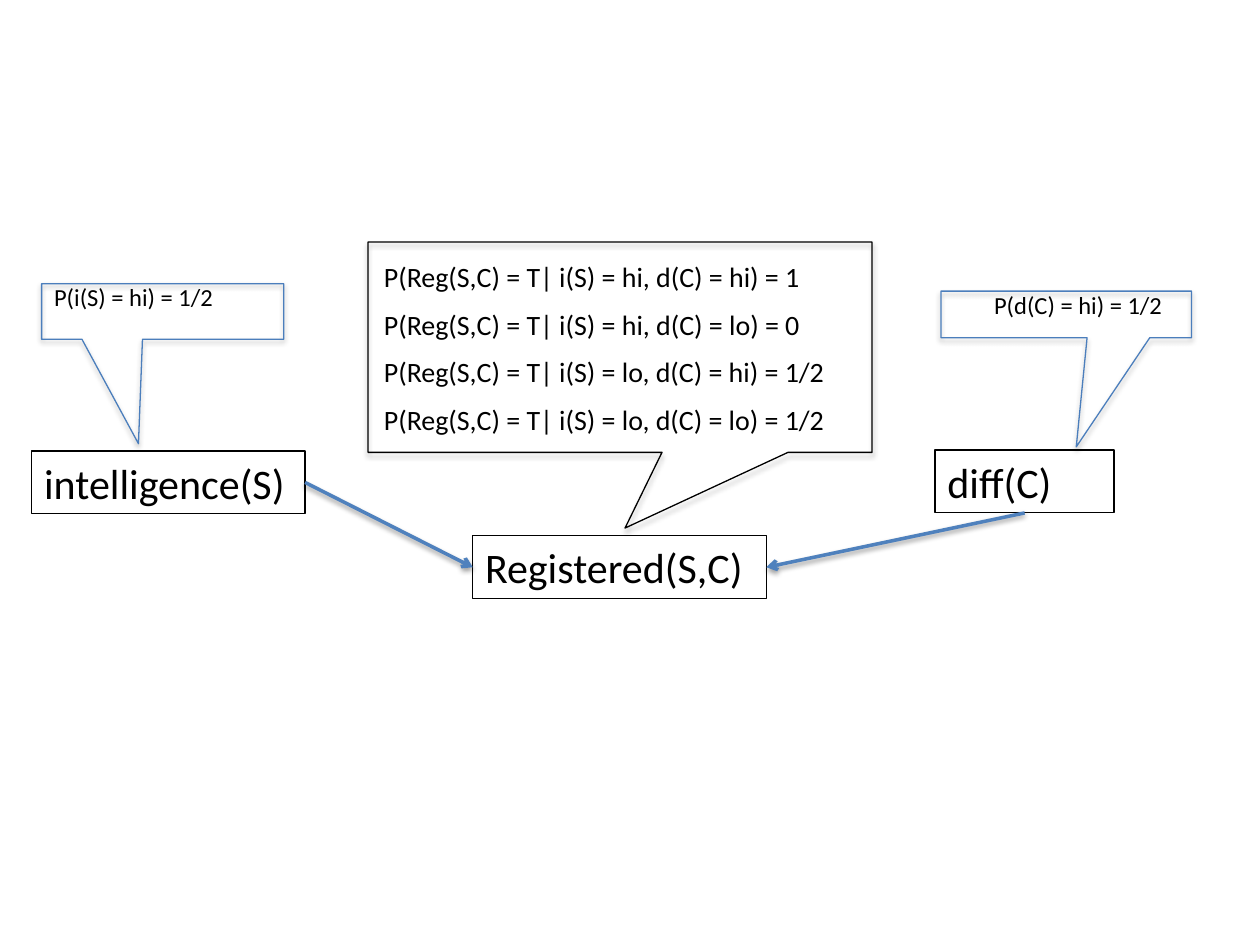
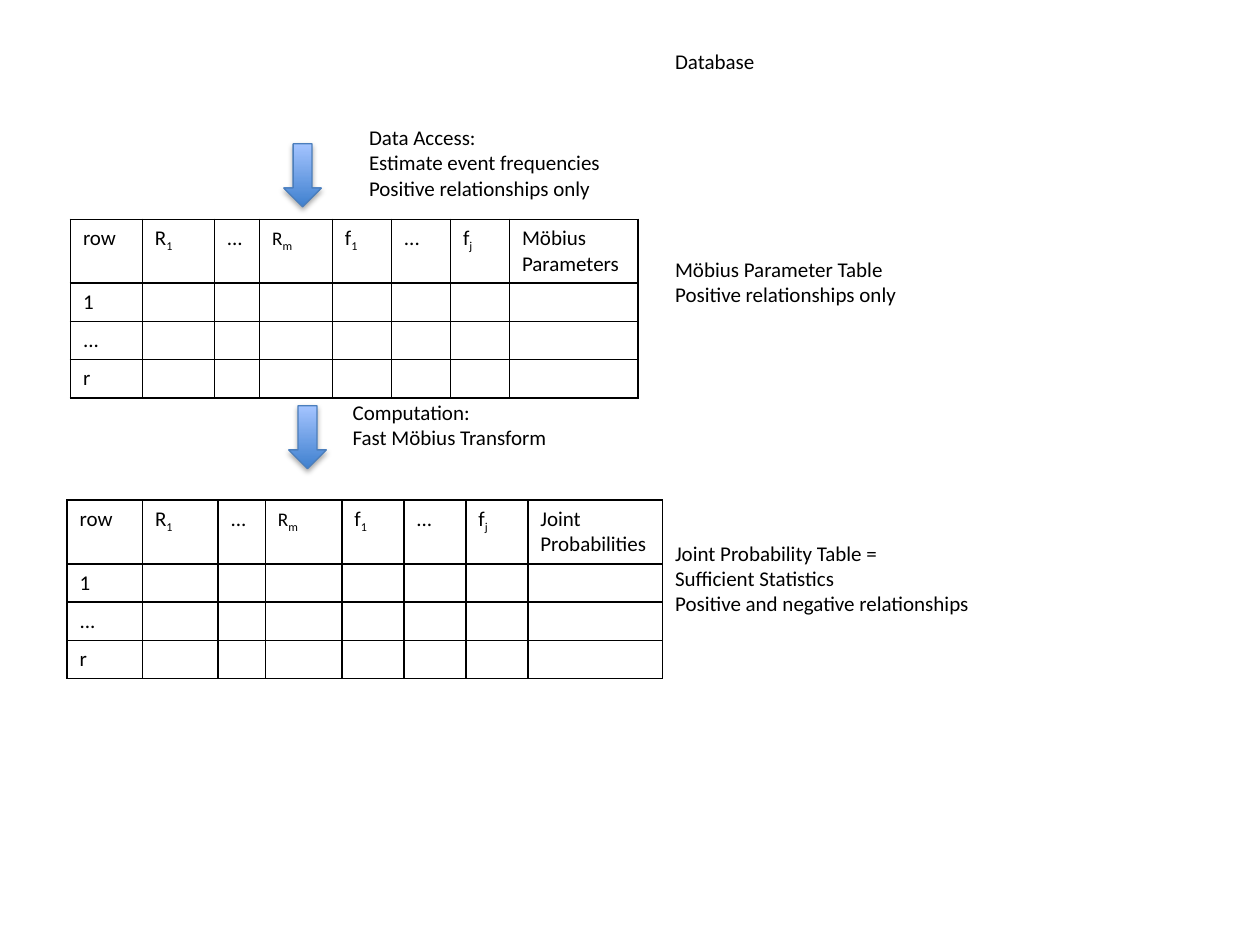
from lxml.etree import SubElement
from pptx import Presentation
from pptx.dml.color import RGBColor
from pptx.enum.shapes import MSO_CONNECTOR, MSO_SHAPE
from pptx.enum.text import MSO_AUTO_SIZE
from pptx.oxml.ns import qn
from pptx.util import Cm, Pt

FONT = "Calibri"
BLACK = "000000"
BLUE = "4F81BD"
OUTLINE_BLUE = "4B7EBC"
ARROW_GRADIENT = ("3F80CE", "A4C4FF")
color = RGBColor.from_string


def add_text(slide, left, top, width, height, lines, size, space_before=0):
    box = slide.shapes.add_textbox(Cm(left), Cm(top), Cm(width), Cm(height))
    frame = box.text_frame
    frame.word_wrap = True
    frame.auto_size = MSO_AUTO_SIZE.SHAPE_TO_FIT_TEXT
    frame.text = "\n".join(lines)
    for paragraph in frame.paragraphs:
        paragraph.space_before = Pt(space_before)
        paragraph.font.name = FONT
        paragraph.font.size = Pt(size)
        paragraph.font.color.rgb = color(BLACK)
    return box


def outline_with_shadow(shape, line_color, width, opacity, distance):
    """Set the line first, since the effect list must follow it in the XML."""
    shape.line.color.rgb = color(line_color)
    shape.line.width = Pt(width)
    effects = SubElement(shape._element.spPr, qn("a:effectLst"))
    shadow = SubElement(effects, qn("a:outerShdw"), blurRad=str(Pt(3.1)), dist=str(Pt(distance)),
                        dir="5400000", rotWithShape="0")
    shadow_color = SubElement(shadow, qn("a:srgbClr"), val=BLACK)
    SubElement(shadow_color, qn("a:alpha"), val=str(opacity * 1000))


presentation = Presentation()
presentation.slide_width = Cm(25.4)
presentation.slide_height = Cm(19.05)
blank = presentation.slide_layouts[6]

# Slide 1: Bayesian network with its conditional probabilities
slide = presentation.slides.add_slide(blank)

callouts = [
    (0.84, 5.72, 4.88, 1.12, (-0.1, 2.38), OUTLINE_BLUE),
    (18.97, 5.87, 5.05, 0.94, (0.04, 2.84), OUTLINE_BLUE),
    (7.42, 4.88, 10.16, 4.24, (0.01, 0.86), BLACK),
]
for left, top, width, height, tip, line_color in callouts:
    callout = slide.shapes.add_shape(MSO_SHAPE.RECTANGULAR_CALLOUT,
                                     Cm(left), Cm(top), Cm(width), Cm(height))
    callout.adjustments[0], callout.adjustments[1] = tip
    callout.fill.background()
    outline_with_shadow(callout, line_color, 0.75, 35, 1.8)

registration_lines = [
    f"P(Reg(S,C) = T| i(S) = {intelligence}, d(C) = {difficulty}) = {probability}"
    for intelligence, difficulty, probability in [
        ("hi", "hi", "1"), ("hi", "lo", "0"), ("lo", "hi", "1/2"), ("lo", "lo", "1/2")]
]
add_text(slide, 7.49, 5.11, 11.13, 4.01, registration_lines, 16, 8)
add_text(slide, 0.84, 5.56, 5.36, 0.86, ["P(i(S) = hi) = 1/2"], 14, 7)
add_text(slide, 19.79, 5.72, 4.98, 0.86, ["P(d(C) = hi) = 1/2"], 14, 7)

nodes = {}
for name, left, top, width in [
    ("intelligence(S)", 0.64, 9.09, 5.51),
    ("diff(C)", 18.85, 9.07, 3.61),
    ("Registered(S,C)", 9.53, 10.8, 5.92),
]:
    nodes[name] = add_text(slide, left, top, width, 1.27, [name], 24, 12)
    nodes[name].line.color.rgb = color(BLACK)
    nodes[name].line.width = Pt(0.75)

for parent, parent_side, child_side in [("intelligence(S)", 3, 1), ("diff(C)", 2, 3)]:
    edge = slide.shapes.add_connector(MSO_CONNECTOR.STRAIGHT, 0, 0, 0, 0)
    edge.begin_connect(nodes[parent], parent_side)
    edge.end_connect(nodes["Registered(S,C)"], child_side)
    outline_with_shadow(edge, BLUE, 2, 38, 1.6)
    SubElement(edge.line._get_or_add_ln(), qn("a:tailEnd"), type="arrow")

# Slide 2: from database to joint probability table
slide = presentation.slides.add_slide(blank)

column_widths = [1.45, 1.45, 0.91, 1.47, 1.19, 1.19, 1.19, 2.59]
row_heights = [0.97, 0.66, 0.66, 0.66]
row_labels = ["row", "1", "...", "r"]
variables = [("R", "1"), ("...", ""), ("R", "m"), ("f", "1"), ("...", ""), ("f", "j")]

for left, top, scale, value_heading in [
    (1.42, 4.42, 1, "Möbius\nParameters"),
    (1.35, 10.08, 1.05, "Joint Probabilities"),
]:
    table = slide.shapes.add_table(
        len(row_heights), len(column_widths), Cm(left), Cm(top),
        Cm(sum(column_widths) * scale), Cm(sum(row_heights))).table
    table.first_row = False
    table.horz_banding = False
    for column, width in zip(table.columns, column_widths):
        column.width = Cm(width * scale)
    for row, height, label in zip(table.rows, row_heights, row_labels):
        row.height = Cm(height)
        row.cells[0].text = label
    table.cell(0, 7).text = value_heading
    for index, (symbol, subscript) in enumerate(variables, start=1):
        paragraph = table.cell(0, index).text_frame.paragraphs[0]
        run = paragraph.add_run()
        run.text = symbol
        if subscript == "m":
            run.font.size = Pt(11)
        if subscript:
            run = paragraph.add_run()
            run.text = subscript
            run._r.get_or_add_rPr().set("baseline", "-25000")

    for cell in table.iter_cells():
        for paragraph in cell.text_frame.paragraphs:
            paragraph.font.name = FONT
            paragraph.font.size = Pt(12)
            paragraph.font.color.rgb = color(BLACK)
            if not paragraph.runs:
                SubElement(paragraph._p, qn("a:endParaRPr"), sz="1200")
        properties = cell._tc.get_or_add_tcPr()
        for side in ("L", "R", "T", "B"):
            border = SubElement(properties, qn(f"a:ln{side}"), w=str(Pt(1)))
            SubElement(SubElement(border, qn("a:solidFill")), qn("a:srgbClr"), val=BLACK)
        cell.fill.background()

for left, top, width, height, lines in [
    (13.36, 0.86, 2.97, 0.76, ["Database"]),
    (7.19, 2.39, 5.44, 1.8,
     ["Data Access:", "Estimate event frequencies", "Positive relationships only"]),
    (13.36, 5.05, 7.21, 1.27, ["Möbius Parameter Table", "Positive relationships only"]),
    (6.86, 7.92, 5.44, 1.27, ["Computation:", "Fast Möbius Transform"]),
    (13.36, 10.77, 7.21, 1.8,
     ["Joint Probability Table =", "Sufficient Statistics", "Positive and negative relationships"]),
]:
    add_text(slide, left, top, width, height, lines, 12)

for left, top in [(5.72, 2.9), (5.82, 8.18)]:
    arrow = slide.shapes.add_shape(MSO_SHAPE.DOWN_ARROW, Cm(left), Cm(top), Cm(0.76), Cm(1.27))
    arrow.fill.gradient()
    arrow.fill.gradient_angle = 90
    for stop, stop_color in zip(arrow.fill.gradient_stops, ARROW_GRADIENT):
        stop.color.rgb = color(stop_color)
    outline_with_shadow(arrow, OUTLINE_BLUE, 0.75, 35, 1.8)

presentation.save("out.pptx")
